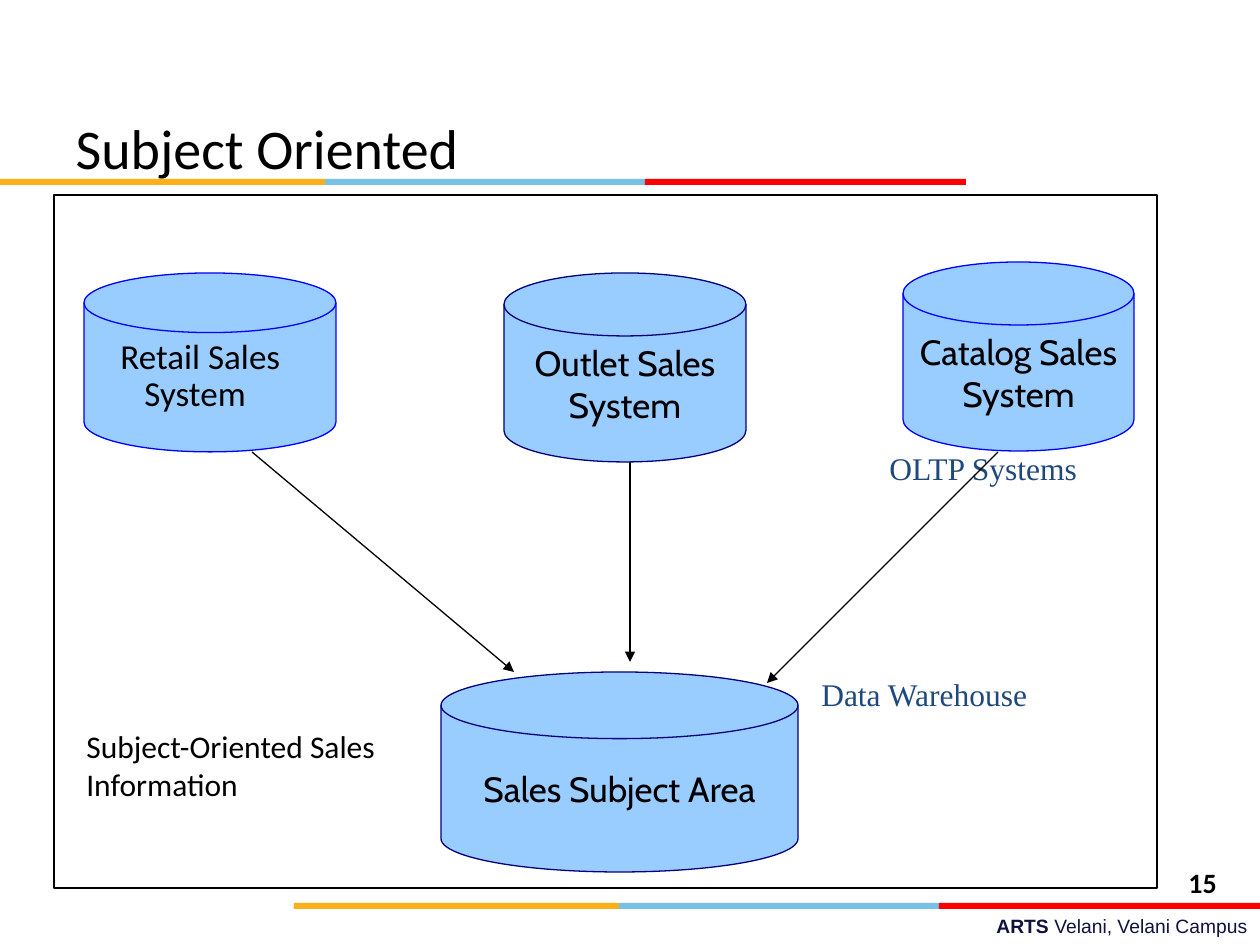
from itertools import accumulate

from lxml.etree import SubElement
from pptx import Presentation
from pptx.dml.color import RGBColor
from pptx.enum.shapes import MSO_CONNECTOR, MSO_SHAPE
from pptx.enum.text import MSO_ANCHOR, PP_ALIGN
from pptx.oxml.ns import qn
from pptx.util import Emu, Pt

EMU_PER_PX = 914400 / 126
COLORS = {
    "black": "000000",
    "white": "FFFFFF",
    "amber": "FCB017",
    "sky": "76C2E5",
    "red": "FF0000",
    "disk": "99CCFF",
    "blue": "0000FF",
    "navy": "000080",
    "label": "1F497D",
    "footer": "101141",
}


def px(value):
    return Emu(round(value * EMU_PER_PX))


def rgb(name):
    return RGBColor.from_string(COLORS[name])


class SlideBuilder:
    line_width = Pt(0.75)
    band = (("amber", 325), ("sky", 320), ("red", 321))

    def __init__(self, deck):
        self.page = deck.slides.add_slide(deck.slide_layouts[5])

    def add_lines(self, frame, lines, size, font="Calibri", color="black",
                  align=PP_ALIGN.LEFT, anchor=MSO_ANCHOR.TOP, wrap=True):
        frame.word_wrap = wrap
        frame.vertical_anchor = anchor
        for index, spans in enumerate(lines):
            para = frame.add_paragraph() if index else frame.paragraphs[0]
            para.alignment = align
            for text, bold in spans:
                span = para.add_run()
                span.text = text
                span.font.name = font
                span.font.size = Pt(size)
                span.font.bold = bold
                span.font.color.rgb = rgb(color)

    def title(self, text, left, top, width, height):
        box = self.page.shapes.title
        box.left, box.top, box.width, box.height = map(px, (left, top, width, height))
        self.add_lines(box.text_frame, [[(text, False)]], 32, anchor=MSO_ANCHOR.MIDDLE)

    def text(self, spans, left, top, width, height, size, **style):
        box = self.page.shapes.add_textbox(*map(px, (left, top, width, height)))
        self.add_lines(box.text_frame, [spans], size, **style)

    def shape(self, kind, left, top, width, height, fill, line=None):
        shape = self.page.shapes.add_shape(kind, *map(px, (left, top, width, height)))
        shape.shadow.inherit = False
        shape.fill.solid()
        shape.fill.fore_color.rgb = rgb(fill)
        if line:
            shape.line.color.rgb = rgb(line)
            shape.line.width = self.line_width
        else:
            shape.line.fill.background()
        return shape

    def stripes(self, left, top):
        starts = accumulate((width for _, width in self.band), initial=left)
        for start, (color, width) in zip(starts, self.band):
            self.shape(MSO_SHAPE.RECTANGLE, start, top, width, 6, color)

    def disk(self, lines, left, top, width, height, line, **style):
        shape = self.shape(MSO_SHAPE.FLOWCHART_MAGNETIC_DISK,
                           left, top, width, height, "disk", line)
        self.add_lines(shape.text_frame, [[(text, False)] for text in lines], 20, **style)
        return shape

    def arrow(self, x1, y1, x2, y2):
        arrow = self.page.shapes.add_connector(
            MSO_CONNECTOR.STRAIGHT, *map(px, (x1, y1, x2, y2)))
        arrow.line.color.rgb = rgb("black")
        arrow.line.width = self.line_width
        properties = arrow._element.spPr
        SubElement(properties.find(qn("a:ln")), qn("a:tailEnd"), type="triangle")
        SubElement(properties, qn("a:effectLst"))


def main():
    deck = Presentation()
    deck.slide_width, deck.slide_height = px(1260), px(945)
    slide = SlideBuilder(deck)

    slide.text([("ARTS ", True), ("Velani, Velani Campus", False)],
               451, 908, 809, 37, 11, font="Arial", color="footer",
               align=PP_ALIGN.RIGHT)
    slide.stripes(294, 903)
    slide.stripes(0, 179)
    slide.shape(MSO_SHAPE.RECTANGLE, 54, 195, 1103, 693, "white", "black")
    slide.title("Subject Oriented", 63, 95, 1071, 105)
    slide.text([("15", True)], 1176, 859, 84, 40, 16)

    for label, left, top in (("OLTP Systems", 877, 442), ("Data Warehouse", 809, 668)):
        slide.text([(label, False)], left, top, 240, 52, 18,
                   font="Times New Roman", color="label", anchor=MSO_ANCHOR.MIDDLE)

    retail = slide.disk(["Retail Sales System"], 84, 273, 252, 179, "blue")
    para = retail.text_frame.paragraphs[0]
    para.line_spacing = 0.9
    properties = para._p.get_or_add_pPr()
    properties.set("marL", str(px(48)))
    properties.set("indent", str(px(-24)))

    centered = {"font": "Cabin", "align": PP_ALIGN.CENTER,
                "anchor": MSO_ANCHOR.MIDDLE, "wrap": False}
    for lines, left, top, width, height, line in (
        (["Outlet Sales", "System"], 504, 273, 242, 189, "navy"),
        (["Catalog Sales", "System"], 903, 262, 231, 189, "blue"),
        (["Sales Subject Area"], 441, 672, 357, 200, "navy"),
    ):
        slide.disk(lines, left, top, width, height, line, **centered)

    for ends in ((252, 452, 514, 672), (630, 462, 630, 662), (998, 452, 767, 683)):
        slide.arrow(*ends)

    slide.text([("Subject-Oriented Sales Information", False)], 74, 721, 328, 89, 18)
    deck.save("out.pptx")


if __name__ == "__main__":
    main()
